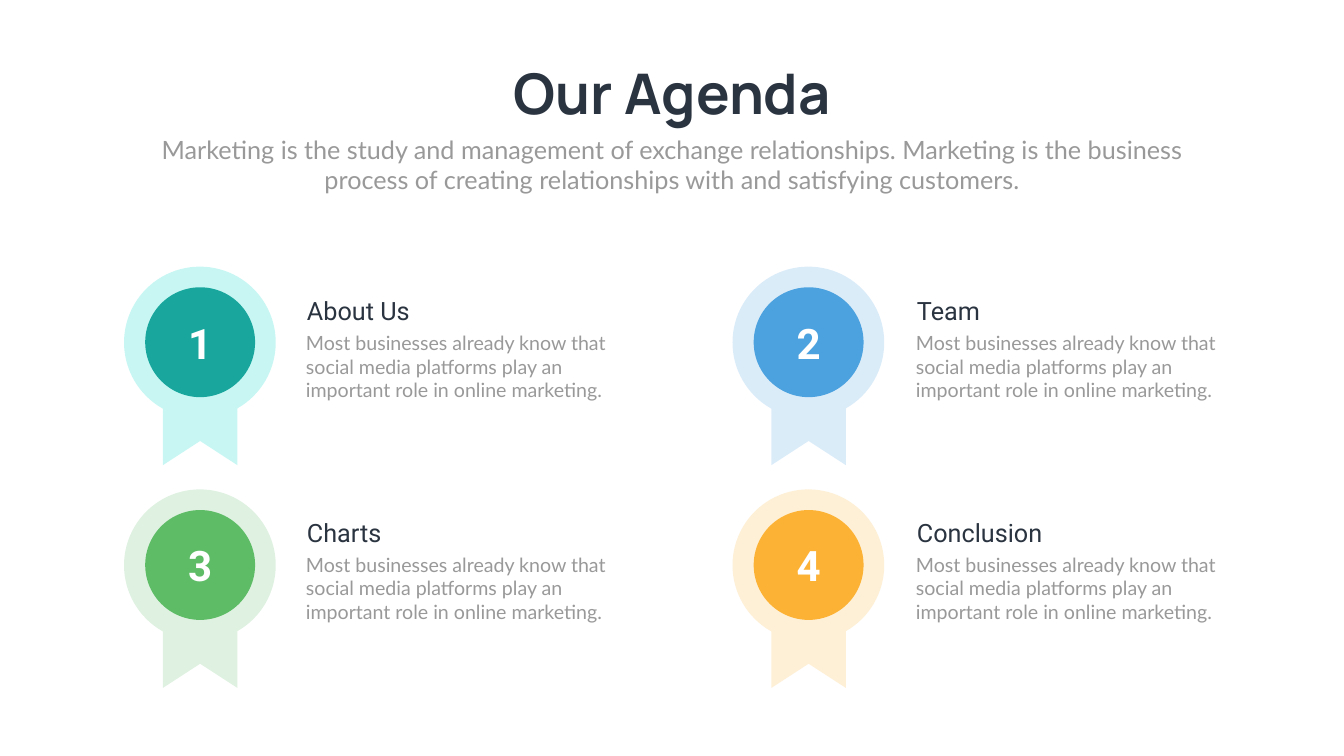
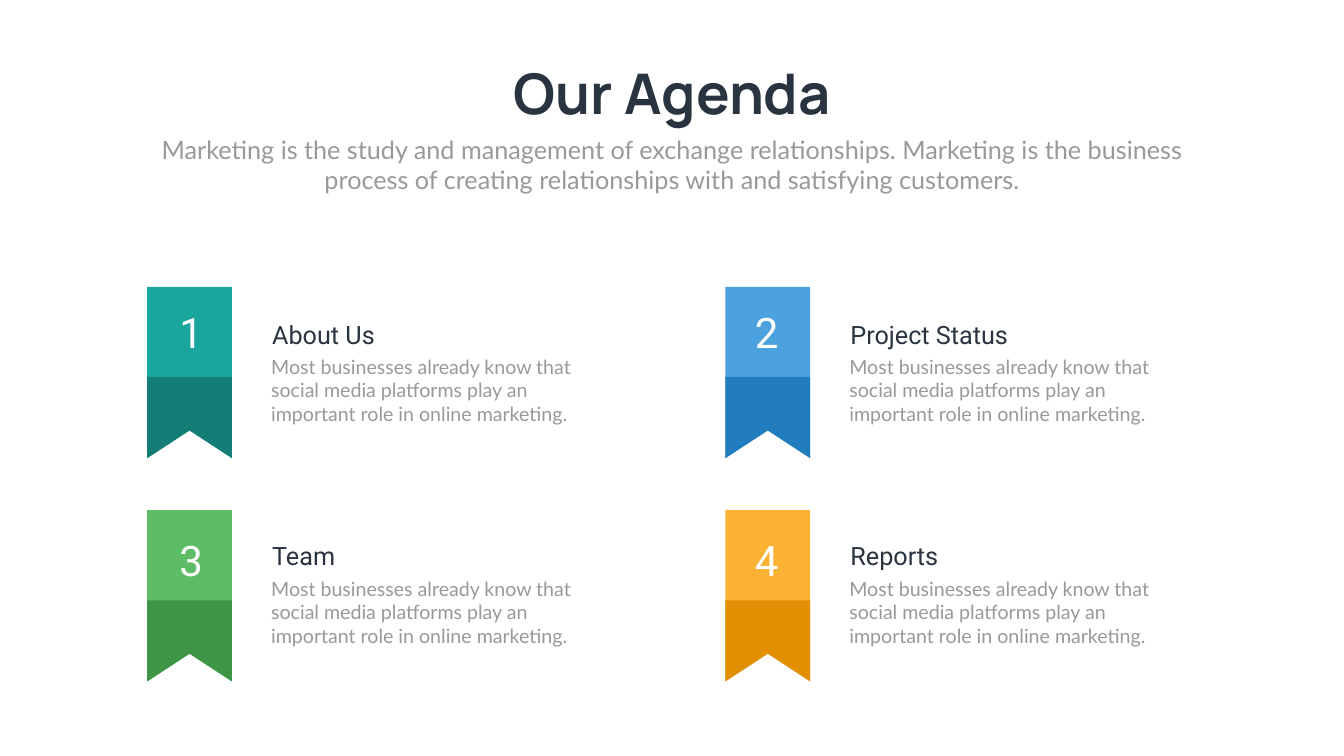
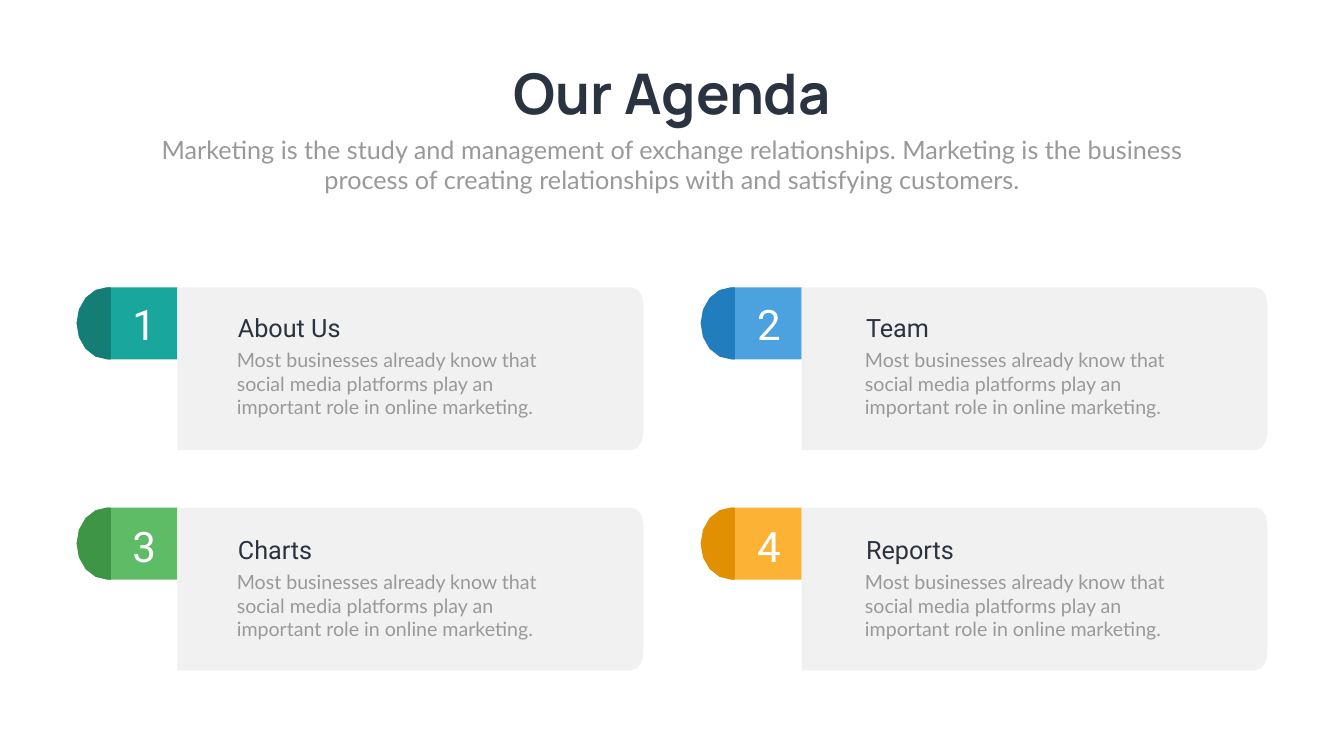
import math
from dataclasses import dataclass

from lxml import etree
from pptx import Presentation
from pptx import util as u
from pptx.dml.color import RGBColor
from pptx.enum import shapes, text
from pptx.oxml import ns


@dataclass(frozen=True)
class Hue:
    main: str
    dark: str
    pale: str


@dataclass(frozen=True)
class Theme:
    ink: str = "2A3340"
    muted: str = "999999"
    white: str = "FFFFFF"
    card: str = "F1F1F1"
    hues: tuple = (
        Hue("19A79D", "137D76", "C8F7F3"),
        Hue("4CA2DF", "227DBE", "DBECF9"),
        Hue("5EBC67", "3E9546", "DFF2E1"),
        Hue("FCB235", "E18F03", "FEF0D7"),
    )
    title_font: str = "Manrope"
    label_font: str = "Roboto"
    body_font: str = "Lato"
    title_size: int = 80
    number_size: int = 60
    label_size: int = 36
    intro_size: int = 36
    body_size: int = 28


@dataclass(frozen=True)
class Grid:
    left: float
    top: float
    column_step: float
    row_step: float

    def cell(self, index):
        row, column = divmod(index, 2)
        return self.left + column * self.column_step, self.top + row * self.row_step


THEME = Theme()
CENTER = text.PP_ALIGN.CENTER
LEFT = text.PP_ALIGN.LEFT
TITLE = "Our Agenda"
INTRO = (
    "Marketing is the study and management of exchange relationships. "
    "Marketing is the business process of creating relationships with and satisfying customers."
)
DESCRIPTION = (
    "Most businesses already know that social media platforms play an "
    "important role in online marketing."
)


def place(shape, left, top, width, height):
    shape.left, shape.top = u.Inches(left), u.Inches(top)
    shape.width, shape.height = u.Inches(width), u.Inches(height)


def write(shape, content, font, size, color, align=LEFT, bold=False):
    shape.text_frame.text = content
    paragraph = shape.text_frame.paragraphs[0]
    paragraph.alignment = align
    run_font = paragraph.runs[0].font
    run_font.name, run_font.size, run_font.bold = font, u.Pt(size), bold
    run_font.color.rgb = RGBColor.from_string(color)


def fit(shape, wrap=True):
    frame = shape.text_frame
    frame.word_wrap = wrap
    frame.auto_size = text.MSO_AUTO_SIZE.SHAPE_TO_FIT_TEXT
    frame.vertical_anchor = text.MSO_ANCHOR.TOP


def remove_bullet(paragraph):
    properties = paragraph._p.get_or_add_pPr()
    properties.set("marL", "0")
    properties.set("indent", "0")
    etree.SubElement(properties, ns.qn("a:buNone"))
    paragraph.space_before = u.Pt(0)


def add_text(slide, left, top, width, height, *content, **options):
    box = slide.shapes.add_textbox(0, 0, 0, 0)
    place(box, left, top, width, height)
    fit(box)
    write(box, *content, **options)


def paint(shape, color):
    shape.shadow.inherit = False
    shape.fill.solid()
    shape.fill.fore_color.rgb = RGBColor.from_string(color)
    shape.line.fill.background()


def add_outline(slide, left, top, points, color):
    corners = [(u.Inches(left + x), u.Inches(top + y)) for x, y in points]
    builder = slide.shapes.build_freeform(*corners[0])
    builder.add_line_segments(corners[1:], close=True)
    paint(builder.convert_to_shape(), color)


def add_disc(slide, left, top, size, color):
    disc = slide.shapes.add_shape(shapes.MSO_SHAPE.OVAL, 0, 0, 0, 0)
    place(disc, left, top, size, size)
    paint(disc, color)
    return disc


def arc(center_x, center_y, radius_x, radius_y, start, end, steps):
    angles = [math.radians(start + (end - start) * i / steps) for i in range(steps + 1)]
    return [
        (center_x + radius_x * math.cos(a), center_y + radius_y * math.sin(a))
        for a in angles
    ]


def swallowtail(width, height, notch):
    return [(width, 0), (width, height), (width / 2, height - notch), (0, height), (0, 0)]


def round_left(width, height, radius):
    middle = height / 2
    return [(width, 0), (width, height)] + arc(radius, middle, radius, middle, 90, 270, 8)


def round_right(width, height, radius_x, radius_y):
    x = width - radius_x
    upper = arc(x, radius_y, radius_x, radius_y, -90, 0, 3)
    lower = arc(x, height - radius_y, radius_x, radius_y, 0, 90, 3)
    return [(0, 0)] + upper + lower + [(0, height)]


def add_number(slide, left, top, number):
    add_text(slide, left, top, 1.62, 1.11, str(number), THEME.label_font,
             THEME.number_size, THEME.white, align=CENTER)


def add_topic(slide, left, top, label):
    add_text(slide, left, top + 0.71, 6.99, 1.51, DESCRIPTION, THEME.body_font,
             THEME.body_size, THEME.muted)
    add_text(slide, left + 0.02, top, 3.58, 0.71, label, THEME.label_font,
             THEME.label_size, THEME.ink)


def add_medal(slide, left, top, hue, number):
    add_outline(slide, left + 0.77, top + 2.52, swallowtail(1.48, 1.42, 0.48), hue.pale)
    add_disc(slide, left, top, 3.01, hue.pale)
    disc = add_disc(slide, left + 0.42, top + 0.41, 2.18, hue.main)
    disc.text_frame.vertical_anchor = text.MSO_ANCHOR.MIDDLE
    write(disc, str(number), THEME.label_font, THEME.number_size, THEME.white,
          align=CENTER, bold=True)


def add_ribbon(slide, left, top, hue):
    add_outline(slide, left, top, swallowtail(1.68, 3.4, 0.55), hue.main)
    add_outline(slide, left, top + 1.79, swallowtail(1.68, 1.61, 0.55), hue.dark)


def add_card(slide, left, top, hue):
    add_outline(slide, left, top, round_left(2, 1.43, 0.61), hue.main)
    add_outline(slide, left + 2, top, round_right(9.24, 3.23, 0.24, 0.33), THEME.card)
    add_outline(slide, left, top, round_left(0.68, 1.43, 0.61), hue.dark)


def add_heading(slide):
    title, intro = slide.shapes.title, slide.placeholders[1]
    place(title, 9.78, 1.12, 7.11, 1.45)
    fit(title, wrap=False)
    write(title, TITLE, THEME.title_font, THEME.title_size, THEME.ink, CENTER, bold=True)

    place(intro, 2.92, 2.61, 20.82, 1.31)
    fit(intro)
    write(intro, INTRO, THEME.body_font, THEME.intro_size, THEME.muted, CENTER)
    remove_bullet(intro.text_frame.paragraphs[0])


def new_agenda(presentation):
    slide = presentation.slides.add_slide(presentation.slide_layouts[1])
    add_heading(slide)
    return slide


def build_medal_agenda(presentation, labels):
    slide = new_agenda(presentation)
    medals = Grid(2.46, 5.29, 12.07, 4.42)
    topics = Grid(5.97, 5.81, 12.1, 4.4)
    for index, (label, hue) in enumerate(zip(labels, THEME.hues)):
        add_medal(slide, *medals.cell(index), hue, index + 1)
        add_topic(slide, *topics.cell(index), label)


def build_numbered_agenda(presentation, labels, add_badge, badges, numbers, topics):
    slide = new_agenda(presentation)
    for index, (label, hue) in enumerate(zip(labels, THEME.hues)):
        add_badge(slide, *badges.cell(index), hue)
        add_number(slide, *numbers.cell(index), index + 1)
        add_topic(slide, *topics.cell(index), label)


def main():
    presentation = Presentation()
    presentation.slide_width = u.Inches(26.66)
    presentation.slide_height = u.Inches(15)
    build_medal_agenda(presentation, ("About Us", "Team", "Charts", "Conclusion"))
    build_numbered_agenda(
        presentation, ("About Us", "Project Status", "Team", "Reports"), add_ribbon,
        badges=Grid(2.92, 5.69, 11.47, 4.43),
        numbers=Grid(2.98, 6.04, 11.42, 4.51),
        topics=Grid(5.28, 6.28, 11.47, 4.4),
    )
    build_numbered_agenda(
        presentation, ("About Us", "Team", "Charts", "Reports"), add_card,
        badges=Grid(1.52, 5.7, 12.38, 4.37),
        numbers=Grid(2.05, 5.88, 12.39, 4.39),
        topics=Grid(4.6, 6.15, 12.46, 4.4),
    )
    presentation.save("out.pptx")


if __name__ == "__main__":
    main()
